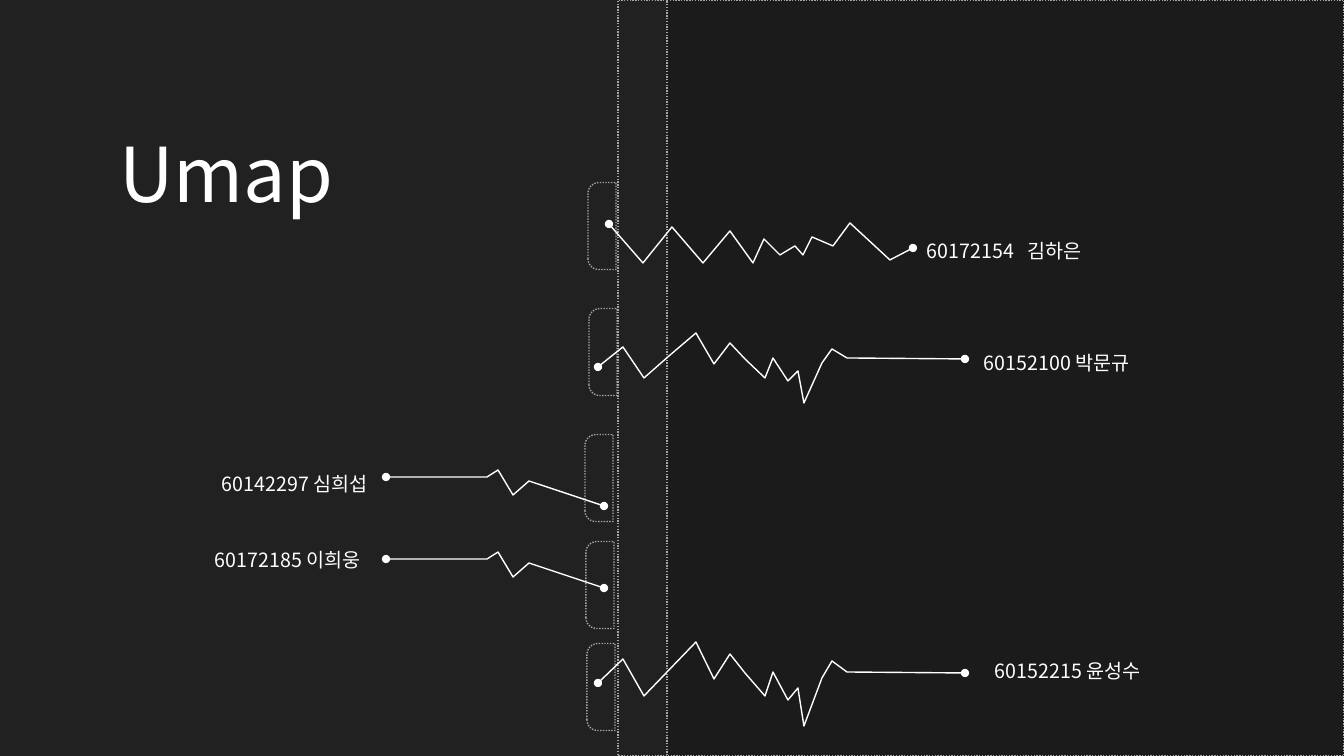
from lxml.etree import SubElement
from pptx import Presentation
from pptx.dml.color import RGBColor
from pptx.enum.dml import MSO_LINE
from pptx.enum.shapes import MSO_SHAPE
from pptx.enum.text import MSO_ANCHOR, MSO_AUTO_SIZE, PP_ALIGN
from pptx.oxml.ns import qn
from pptx.util import Pt

SCALE = 914400 / 100.8
WIDTH, HEIGHT = 1344, 756
FONT = "Noto Sans CJK KR"
COLORS = {
    name: RGBColor.from_string(value)
    for name, value in {
        "page": "212121", "panel": "1B1B1B", "border": "A6A6A6", "white": "FFFFFF",
    }.items()
}


def px(*lengths):
    return [round(length * SCALE) for length in lengths]


def write(box, text, size, wrap):
    frame = box.text_frame
    frame.word_wrap = wrap
    frame.auto_size = MSO_AUTO_SIZE.SHAPE_TO_FIT_TEXT
    frame.vertical_anchor = MSO_ANCHOR.TOP
    para = frame.paragraphs[0]
    para.text = text
    para.alignment = PP_ALIGN.LEFT
    para.line_spacing = 1.5
    para.font.size = Pt(size)
    para.font.color.rgb = COLORS["white"]
    para.font.name = FONT
    SubElement(para._p.pPr.find(qn("a:defRPr")), qn("a:ea"), typeface=FONT)


deck = Presentation()
deck.slide_width, deck.slide_height = px(WIDTH, HEIGHT)
page = deck.slides.add_slide(deck.slide_layouts[5])
page.background.fill.solid()
page.background.fill.fore_color.rgb = COLORS["page"]
shapes = page.shapes

title = shapes.title
title.left, title.top, title.width, title.height = px(109, 77, 433, 130)
write(title, "Umap", 54, True)

RECT, TAB = MSO_SHAPE.RECTANGLE, MSO_SHAPE.ROUND_2_SAME_RECTANGLE
TAB_WIDTH, TAB_HEIGHT = 87, 28
tab_centers = [(602, 226), (603, 352), (599, 478), (600, 585), (601, 687)]
notebook = [(RECT, 618, 0, WIDTH - 618, HEIGHT, "page")]
notebook += [
    (TAB, x - TAB_WIDTH / 2, y - TAB_HEIGHT / 2, TAB_WIDTH, TAB_HEIGHT, None)
    for x, y in tab_centers
]
notebook.append((RECT, 667, 0, WIDTH - 667, HEIGHT, "panel"))

for kind, left, top, width, height, fill in notebook:
    shape = shapes.add_shape(kind, *px(left, top, width, height))
    shape.shadow.inherit = False
    shape.line.color.rgb = COLORS["border"]
    shape.line.width = Pt(1)
    shape.line.dash_style = MSO_LINE.ROUND_DOT
    if fill:
        shape.fill.solid()
        shape.fill.fore_color.rgb = COLORS[fill]
    else:
        shape.fill.background()
    if kind == TAB:
        shape.rotation = 270
        shape.adjustments[0] = 0.385
        shape.adjustments[1] = 0

zigzag = [
    (609, 1), (643, 40), (672, 4), (703, 40), (730, 8), (753, 40), (764, 16),
    (780, 32), (795, 23), (803, 32), (812, 14), (833, 23), (850, 0), (890, 37),
    (913, 25),
]
pulse = [
    (598, 34), (623, 14), (644, 45), (669, 23), (696, 0), (714, 31), (730, 10),
    (745, 26), (765, 45), (773, 25), (788, 48), (798, 38), (804, 70), (822, 30),
    (832, 16), (847, 25), (965, 26),
]
blip = [(386, 7), (487, 7), (498, 0), (513, 25), (529, 11), (604, 36)]

members = [
    (zigzag, 223, 1, "60172154\t김하은", 917, 222, 181),
    (pulse, 333, 1, "60152100 박문규", 974, 334, 174),
    (blip, 470, 1, "60142297 심희섭", 212, 455, 174),
    (blip, 552, 1, "60172185 이희웅", 205, 531, 174),
    (pulse, 642, 1.2, "60152215 윤성수", 985, 642, 174),
]
for signal, signal_top, stretch, label, left, top, width in members:
    points = [(x, signal_top + y * stretch) for x, y in signal]
    builder = shapes.build_freeform(*points[0], scale=SCALE)
    builder.add_line_segments(points[1:], close=False)
    trace = builder.convert_to_shape()
    trace.shadow.inherit = False
    trace.fill.background()
    trace.line.color.rgb = COLORS["white"]
    trace.line.width = Pt(1)
    for end in ("a:headEnd", "a:tailEnd"):
        SubElement(trace.line._get_or_add_ln(), qn(end), type="oval")

    box = shapes.add_textbox(*px(left, top, width, 41))
    write(box, label, 14, False)

deck.save("out.pptx")
